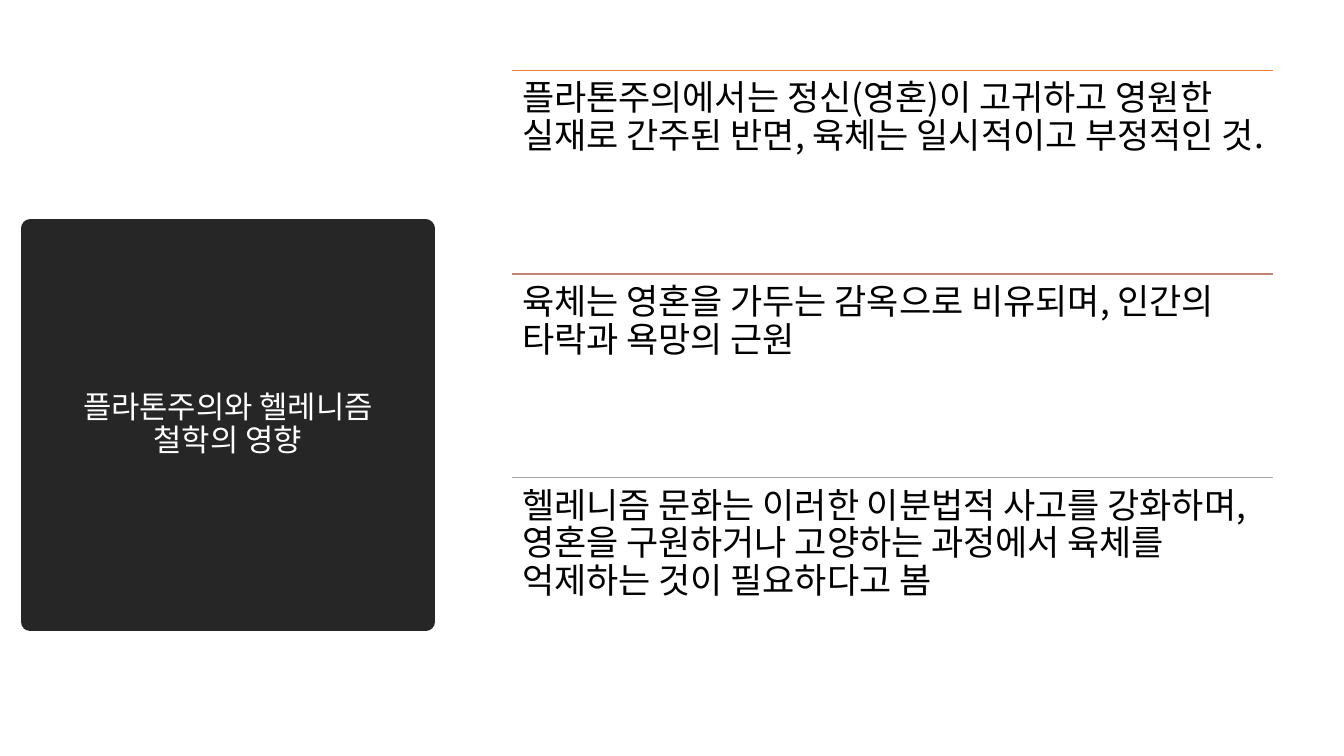
from lxml.etree import SubElement
from pptx import Presentation
from pptx.dml.color import RGBColor
from pptx.enum.shapes import MSO_CONNECTOR as Connector, MSO_SHAPE as Shape
from pptx.enum.text import MSO_ANCHOR as Anchor, PP_ALIGN as Align
from pptx.oxml.ns import qn
from pptx.util import Inches, Pt

FONT = "Noto Sans CJK KR"
POINTS_LEFT, POINTS_TOP = 5.08, 0.7
POINT_WIDTH, ROW_HEIGHT = 7.55, 2.02
MARGIN = 0.1

TOPIC = "플라톤주의와 헬레니즘 철학의 영향"
POINTS = [
    ("ED7D31", "플라톤주의에서는 정신(영혼)이 고귀하고 영원한 실재로 간주된 반면, "
               "육체는 일시적이고 부정적인 것."),
    ("C48170", "육체는 영혼을 가두는 감옥으로 비유되며, 인간의 타락과 욕망의 근원"),
    ("A5A5A5", "헬레니즘 문화는 이러한 이분법적 사고를 강화하며, 영혼을 구원하거나 "
               "고양하는 과정에서 육체를 억제하는 것이 필요하다고 봄"),
]


def color(hex_code):
    return RGBColor.from_string(hex_code)


def write(frame, wording, size, ink, align, anchor):
    frame.word_wrap = True
    frame.vertical_anchor = anchor
    frame.margin_left = frame.margin_right = Inches(MARGIN)
    frame.margin_top = frame.margin_bottom = Inches(MARGIN)
    paragraph = frame.paragraphs[0]
    paragraph.alignment = align
    paragraph.line_spacing = 0.9
    run = paragraph.add_run()
    run.text = wording
    run.font.size = Pt(size)
    run.font.color.rgb = color(ink)
    run.font.name = FONT
    SubElement(run.font._element, qn("a:ea"), typeface=FONT)


def add_topic(slide, wording):
    panel = slide.shapes.add_shape(
        Shape.RECTANGLE, Inches(0.3), Inches(2.27), Inches(3.92), Inches(3.9))
    panel.shadow.inherit = False
    panel.fill.solid()
    panel.fill.fore_color.rgb = color("262626")
    panel.line.color.rgb = color("262626")
    panel.line.width = Pt(13.75)
    SubElement(panel.line._get_or_add_ln(), qn("a:round"))
    write(panel.text_frame, wording, 22, "FFFFFF", Align.CENTER, Anchor.MIDDLE)


def add_rule(slide, top, hue):
    left = Inches(POINTS_LEFT)
    rule = slide.shapes.add_connector(
        Connector.STRAIGHT, left, top, left + Inches(POINT_WIDTH), top)
    rule.line.color.rgb = color(hue)
    rule.line.width = Pt(1)
    SubElement(rule._element.spPr, qn("a:effectLst"))


def add_point(slide, row, hue, wording):
    top = Inches(POINTS_TOP + row * ROW_HEIGHT)
    add_rule(slide, top, hue)
    statement = slide.shapes.add_textbox(
        Inches(POINTS_LEFT), top, Inches(POINT_WIDTH), Inches(ROW_HEIGHT))
    write(statement.text_frame, wording, 25, "000000", Align.LEFT, Anchor.TOP)


def main():
    deck = Presentation()
    deck.slide_width, deck.slide_height = Inches(13.33), Inches(7.5)
    slide = deck.slides.add_slide(deck.slide_layouts[6])
    add_topic(slide, TOPIC)
    for row, (hue, wording) in enumerate(POINTS):
        add_point(slide, row, hue, wording)
    deck.save("out.pptx")


if __name__ == "__main__":
    main()
